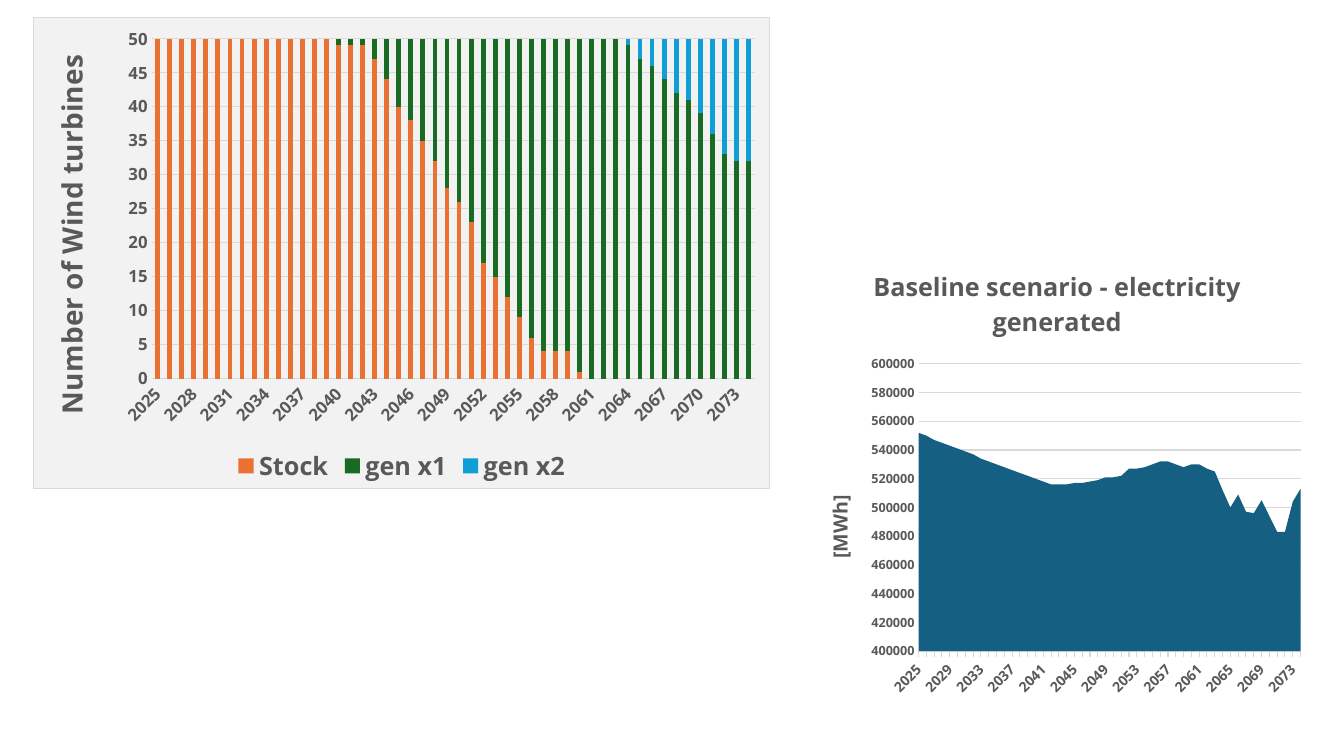
from lxml import etree
from pptx import Presentation
from pptx import util as u
from pptx.chart.data import CategoryChartData
from pptx.dml.color import RGBColor
from pptx.enum import chart as kinds
from pptx.oxml import parse_xml
from pptx.oxml.ns import nsdecls, qn

COLORS = {"text": "595959", "grid": "D9D9D9", "panel": "F2F2F2", "stock": "E97132",
          "gen_x1": "196B24", "gen_x2": "0F9ED5", "energy": "156082"}
YEARS = [str(year) for year in range(2025, 2075)]
TURBINES_BOX = (0.33, 0.17, 7.31, 4.68)
ENERGY_BOX = (7.97, 2.45, 5.03, 4.56)

# Turbine fleet: always 50 machines, so the first replacement fills the gap
FLEET = 50
STOCK = [50] * 15 + [49, 49, 49, 47, 44, 40, 38, 35, 32, 28, 26, 23, 17, 15, 12,
                     9, 6, 4, 4, 4, 1] + [0] * 14
GEN_X2 = [0] * 39 + [1, 3, 4, 6, 8, 9, 11, 14, 17, 18, 18]
GEN_X1 = [FLEET - stock - second for stock, second in zip(STOCK, GEN_X2)]

# Electricity in GWh, plotted in MWh
ENERGY = [552, 550, 547, 545, 543, 541, 539, 537, 534, 532, 530, 528, 526, 524, 522, 520, 518,
          516, 516, 516, 517, 517, 518, 519, 521, 521, 522, 527, 527, 528, 530, 532, 532, 530,
          528, 530, 530, 527, 525, 512, 500, 509, 497, 496, 505, 494, 483, 483, 504, 513]


class ChartSlide:
    def __init__(self, slide, font="Open Sans"):
        self.slide = slide
        self.font = font

    def style(self, font, size):
        font.name, font.size, font.bold = self.font, u.Pt(size), True
        font.color.rgb = RGBColor.from_string(COLORS["text"])

    def place(self, parent, box, x, y, width=None, height=None):
        """Set a manual layout, in inches from the corner of the chart's box."""
        layout = parent.find(qn("c:layout"))
        if layout is None:
            layout = parse_xml(f"<c:layout {nsdecls('c')}/>")
            parent.insert(0, layout)
        manual = etree.SubElement(layout, qn("c:manualLayout"))
        settings = [("xMode", "edge"), ("yMode", "edge"), ("x", x / box[2]), ("y", y / box[3])]
        if width:
            settings.insert(0, ("layoutTarget", "inner"))
            settings += [("w", width / box[2]), ("h", height / box[3])]
        for tag, value in settings:
            etree.SubElement(manual, qn(f"c:{tag}")).set("val", str(value))

    def chart(self, kind, box, series, plot_box):
        data = CategoryChartData()
        data.categories = YEARS
        for name, values, _ in series:
            data.add_series(name, values)
        chart = self.slide.shapes.add_chart(kind, *map(u.Inches, box), data).chart
        chart.has_title = chart.has_legend = False
        self.style(chart.font, 12)
        plot = chart.plots[0]
        plot.vary_by_categories = False
        for item, (_, _, color) in zip(plot.series, series):
            item.format.fill.solid()
            item.format.fill.fore_color.rgb = RGBColor.from_string(COLORS[color])
        self.place(chart.element.xpath("c:chart/c:plotArea")[0], box, *plot_box)
        return chart

    def title(self, owner, text, size):
        paragraph = owner.text_frame.paragraphs[0]
        paragraph.text = text
        self.style(paragraph.font, size)

    def turn(self, body, angle):
        body.set("rot", str(angle * 60000))
        body.set("vert", "horz")

    def category_axis(self, chart, size, tick):
        axis = chart.category_axis
        axis.major_tick_mark, axis.minor_tick_mark = tick, kinds.XL_TICK_MARK.NONE
        self.style(axis.tick_labels.font, size)
        self.line(axis.format.line)
        # An angle of -1000 degrees means automatic rotation
        self.turn(chart.element.xpath(".//c:catAx/c:txPr/a:bodyPr")[0], -1000)

    def value_axis(self, chart, size, scale, title, title_size, box, title_place):
        axis = chart.value_axis
        axis.minimum_scale, axis.maximum_scale, axis.major_unit = scale
        axis.major_tick_mark = axis.minor_tick_mark = kinds.XL_TICK_MARK.NONE
        axis.tick_labels.number_format = "0"
        axis.tick_labels.number_format_is_linked = False
        self.style(axis.tick_labels.font, size)
        axis.format.line.fill.background()
        axis.has_major_gridlines = True
        self.line(axis.major_gridlines.format.line)
        self.title(axis.axis_title, title, title_size)
        self.place(axis.axis_title.element, box, *title_place)
        self.turn(axis.axis_title.element.xpath("c:tx/c:rich/a:bodyPr")[0], -90)

    def line(self, line):
        line.color.rgb = RGBColor.from_string(COLORS["grid"])
        line.width = u.Pt(0.75)

    def legend(self, chart, size):
        chart.has_legend = True
        chart.legend.position = kinds.XL_LEGEND_POSITION.BOTTOM
        chart.legend.include_in_layout = False
        self.style(chart.legend.font, size)

    def panel(self, chart):
        """Fill and outline the chart area."""
        chart.element.find(qn("c:txPr")).addprevious(parse_xml(
            f'<c:spPr {nsdecls("c", "a")}>'
            f'<a:solidFill><a:srgbClr val="{COLORS["panel"]}"/></a:solidFill>'
            f'<a:ln w="9525"><a:solidFill><a:srgbClr val="{COLORS["grid"]}"/></a:solidFill></a:ln>'
            f'</c:spPr>'))


def main():
    presentation = Presentation()
    presentation.slide_width, presentation.slide_height = u.Inches(13.33), u.Inches(7.5)
    page = ChartSlide(presentation.slides.add_slide(presentation.slide_layouts[6]))

    # Turbines by generation
    turbines = page.chart(
        kinds.XL_CHART_TYPE.COLUMN_STACKED, TURBINES_BOX,
        [("Stock", STOCK, "stock"), ("gen x1", GEN_X1, "gen_x1"), ("gen x2", GEN_X2, "gen_x2")],
        (1.17, 0.21, 5.99, 3.38))
    turbines.plots[0].gap_width, turbines.plots[0].overlap = 150, 100
    page.category_axis(turbines, 12, kinds.XL_TICK_MARK.NONE)
    page.value_axis(turbines, 12, (0, FLEET, 5), "Number of Wind turbines", 20,
                    TURBINES_BOX, (0.1, 0.32))
    page.legend(turbines, 18)
    page.panel(turbines)

    # Electricity generated
    energy = page.chart(
        kinds.XL_CHART_TYPE.AREA_STACKED, ENERGY_BOX,
        [("Series 1", [value * 1000 for value in ENERGY], "energy")],
        (1.14, 1.16, 3.79, 2.85))
    energy.has_title = True
    page.title(energy.chart_title, "Baseline scenario - electricity generated", 18)
    page.category_axis(energy, 10, kinds.XL_TICK_MARK.OUTSIDE)
    page.value_axis(energy, 9, (400000, 600000, 20000), "[MWh]", 14,
                    ENERGY_BOX, (0.17, 2.42))
    for crossing in energy.element.xpath(".//c:valAx/c:crossBetween"):
        crossing.set("val", "midCat")

    presentation.save("out.pptx")


if __name__ == "__main__":
    main()
